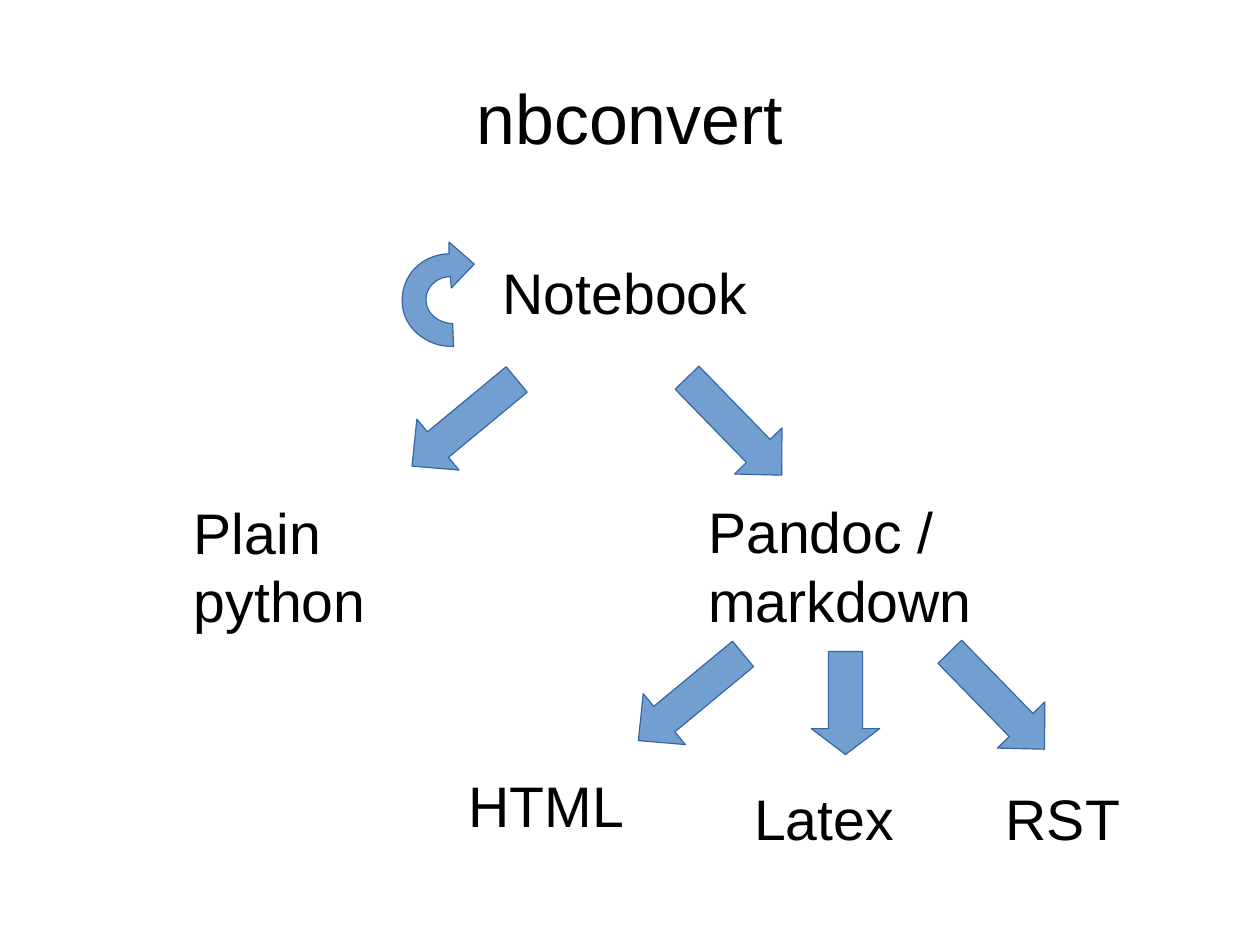
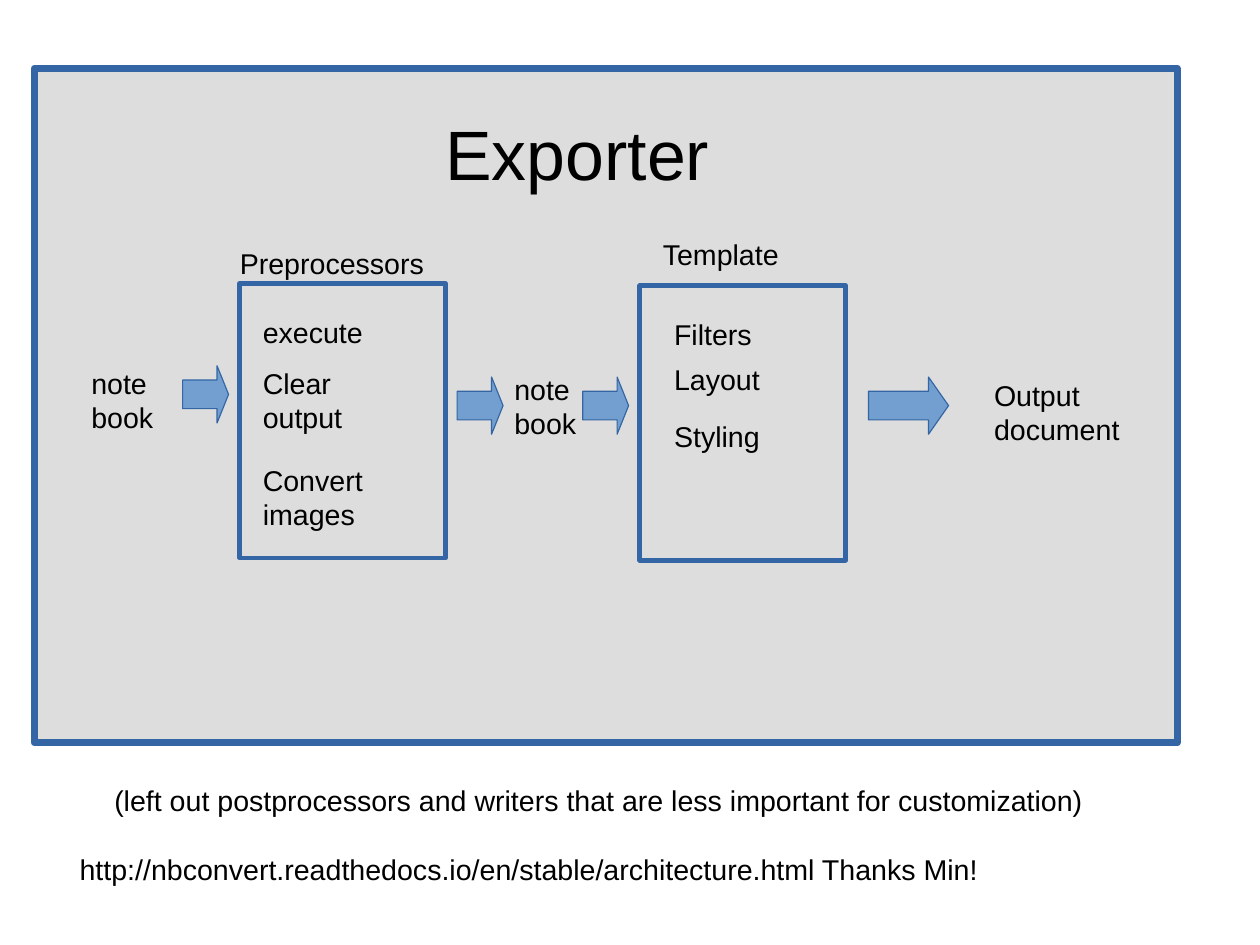
"""Build two slides on nbconvert: its output formats and its exporter pipeline."""
from pptx import Presentation
from pptx.dml.color import RGBColor
from pptx.enum.shapes import MSO_SHAPE
from pptx.enum.text import MSO_ANCHOR, PP_ALIGN
from pptx.util import Cm, Pt

LEFT, DOWN, RIGHT = MSO_SHAPE.LEFT_ARROW, MSO_SHAPE.DOWN_ARROW, MSO_SHAPE.RIGHT_ARROW
RECT = MSO_SHAPE.RECTANGLE
CENTER, TOP, MIDDLE = PP_ALIGN.CENTER, MSO_ANCHOR.TOP, MSO_ANCHOR.MIDDLE

COLORS = {"text": "000000", "arrow": "729FCF", "line": "3465A4", "panel": "DDDDDD"}
FONT = "Arial"
TITLE, LARGE, BODY = 44, 36, 18
INSETS = {"margin_left": Cm(0.25), "margin_right": Cm(0.25),
          "margin_top": Cm(0.13), "margin_bottom": Cm(0.13)}
NO_INSETS = dict.fromkeys(INSETS, 0)

FORMATS = [
    ("Notebook", 10.92, 5.59, 6.6, 3.07),
    ("Plain python", 4.06, 10.92, 6.6, 3.1),
    ("Pandoc / markdown", 15.49, 10.9, 6.6, 3.1),
    ("HTML", 10.16, 16.99, 6.6, 3.07),
    ("Latex", 16.51, 17.27, 4.32, 2.06),
    ("RST", 22.1, 17.27, 4.32, 2.06),
]
TO_LEFT, TO_RIGHT = 320.4, 225.8
BRANCHES = [
    (8.81, 8.66, TO_LEFT),
    (14.81, 8.74, TO_RIGHT),
    (13.84, 14.76, TO_LEFT),
    (20.65, 14.83, TO_RIGHT),
]
LOOP_START = (10.01, 6.15)
LOOP = [
    [(9.7, 6.15), (9.45, 6.4), (9.47, 6.68)],
    [(9.47, 6.96), (9.75, 7.19), (10.06, 7.19)],
    [(10.08, 7.7)],
    [(9.47, 7.72), (8.94, 7.26), (8.94, 6.71)],
    [(8.92, 6.12), (9.37, 5.66), (9.98, 5.64)],
    [(9.98, 5.38)],
    [(10.54, 5.87)],
    [(10.03, 6.4)],
]

STAGES = [
    {"box": (5.33, 6.3), "name": ("Preprocessors", 5.08, 5.33), "left": 5.59, "width": 3.05,
     "steps": [("execute", 6.86), ("Clear output", 8), ("Convert images", 10.16)]},
    {"box": (14.22, 6.35), "name": ("Template", 14.48, 5.13), "left": 14.73, "width": 4.57,
     "steps": [("Filters", 6.91), ("Layout", 7.92), ("Styling", 9.19)]},
]
DOCUMENTS = [
    ("notebook", 1.78, 8, 2.03, 1.68),
    ("notebook", 11.18, 8.13, 2.03, 1.68),
    ("Output document", 21.84, 8.26, 5.08, 1.68),
]
FLOW = [(4.06, 8.13, 1.02, 0.25), (10.16, 8.38, 1.02, 0.25),
        (12.95, 8.38, 1.02, 0.25), (19.3, 8.38, 1.78, 0.35)]
NOTES = [
    ("(left out postprocessors and writers that are less important for customization)",
     2.29, 17.27, 22.1, 1.65),
    ("http://nbconvert.readthedocs.io/en/stable/architecture.html Thanks Min!",
     1.52, 18.8, 21.59, 0.97),
]


def rgb(name):
    return RGBColor.from_string(COLORS[name])


def add_text(s, text, x, y, w, h, size, align=None, anchor=TOP, insets=INSETS):
    tf = s.shapes.add_textbox(Cm(x), Cm(y), Cm(w), Cm(h)).text_frame
    for key, value in {"word_wrap": True, "vertical_anchor": anchor, **insets}.items():
        setattr(tf, key, value)
    p = tf.paragraphs[0]
    p.alignment = align
    r = p.add_run()
    r.text = text
    for key, value in {"name": FONT, "size": Pt(size)}.items():
        setattr(r.font, key, value)
    r.font.color.rgb = rgb("text")


def paint(sp, fill, width=0):
    sp.shadow.inherit = False
    sp.fill.solid()
    sp.fill.fore_color.rgb = rgb(fill)
    sp.line.color.rgb = rgb("line")
    sp.line.width = Pt(width)


def add_arrow(s, kind, x, y, w, h, head, rotation=0):
    sp = s.shapes.add_shape(kind, Cm(x), Cm(y), Cm(w), Cm(h))
    sp.adjustments[0], sp.adjustments[1] = 0.5, head
    sp.rotation = rotation
    paint(sp, "arrow")


def add_panel(s, x, y, w, h, width):
    paint(s.shapes.add_shape(RECT, Cm(x), Cm(y), Cm(w), Cm(h)), "panel", width)


def bezier(p0, p1, p2, p3, steps=16):
    for i in range(1, steps + 1):
        t = i / steps
        u = 1 - t
        yield tuple(u**3 * a + 3 * u * u * t * b + 3 * u * t * t * c + t**3 * d
                    for a, b, c, d in zip(p0, p1, p2, p3))


def add_loop(s):
    points = [LOOP_START]
    for part in LOOP:
        points += bezier(points[-1], *part) if len(part) == 3 else part
    start, *rest = [(Cm(x), Cm(y)) for x, y in points]
    builder = s.shapes.build_freeform(*start)
    builder.add_line_segments(rest, close=True)
    paint(builder.convert_to_shape(), "arrow")


def formats_slide(s):
    add_text(s, "nbconvert", 1.4, 0.84, 25.2, 3.5, TITLE, CENTER, MIDDLE, NO_INSETS)
    for label in FORMATS:
        add_text(s, *label, LARGE)
    add_loop(s)
    for x, y, rotation in BRANCHES:
        add_arrow(s, LEFT, x, y, 3.02, 1.47, 0.51, rotation)
    add_arrow(s, DOWN, 18.03, 14.48, 1.52, 2.29, 0.38)


def exporter_slide(s):
    add_panel(s, 0.76, 1.52, 25.4, 14.99, 4.5)
    add_text(s, "Exporter", 9.65, 2.34, 13.21, 1.98, TITLE)
    for stage in STAGES:
        add_panel(s, *stage["box"], 4.57, 6.1, 3)
        add_text(s, *stage["name"], 5.33, 0.97, BODY)
        for step, y in stage["steps"]:
            add_text(s, step, stage["left"], y, stage["width"], 0.97, BODY)
    for x, y, w, head in FLOW:
        add_arrow(s, RIGHT, x, y, w, 1.27, head)
    for label in DOCUMENTS + NOTES:
        add_text(s, *label, BODY)


def main():
    prs = Presentation()
    prs.slide_width, prs.slide_height = Cm(28), Cm(21)
    for build in (formats_slide, exporter_slide):
        build(prs.slides.add_slide(prs.slide_layouts[6]))
    prs.save("out.pptx")


if __name__ == "__main__":
    main()
